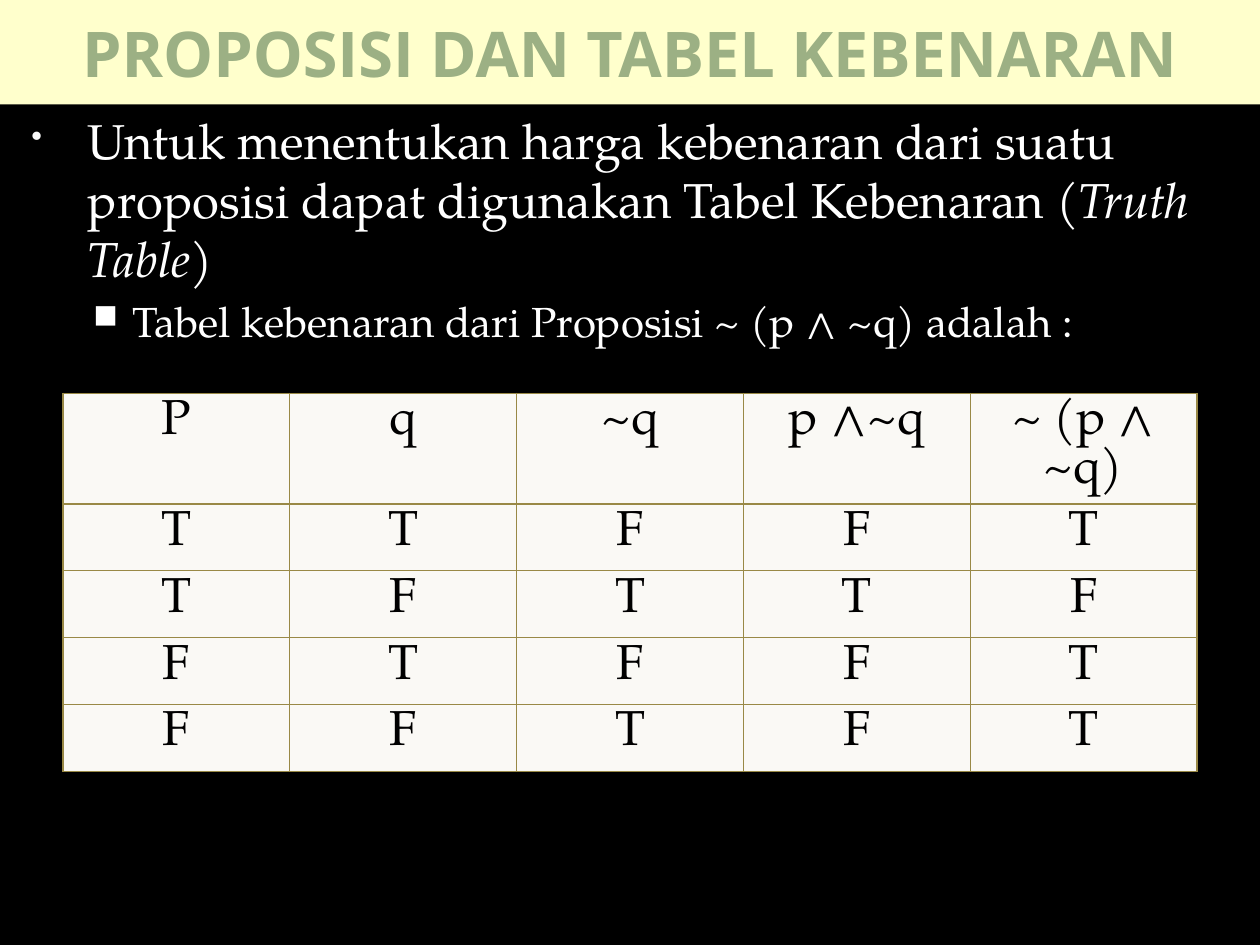
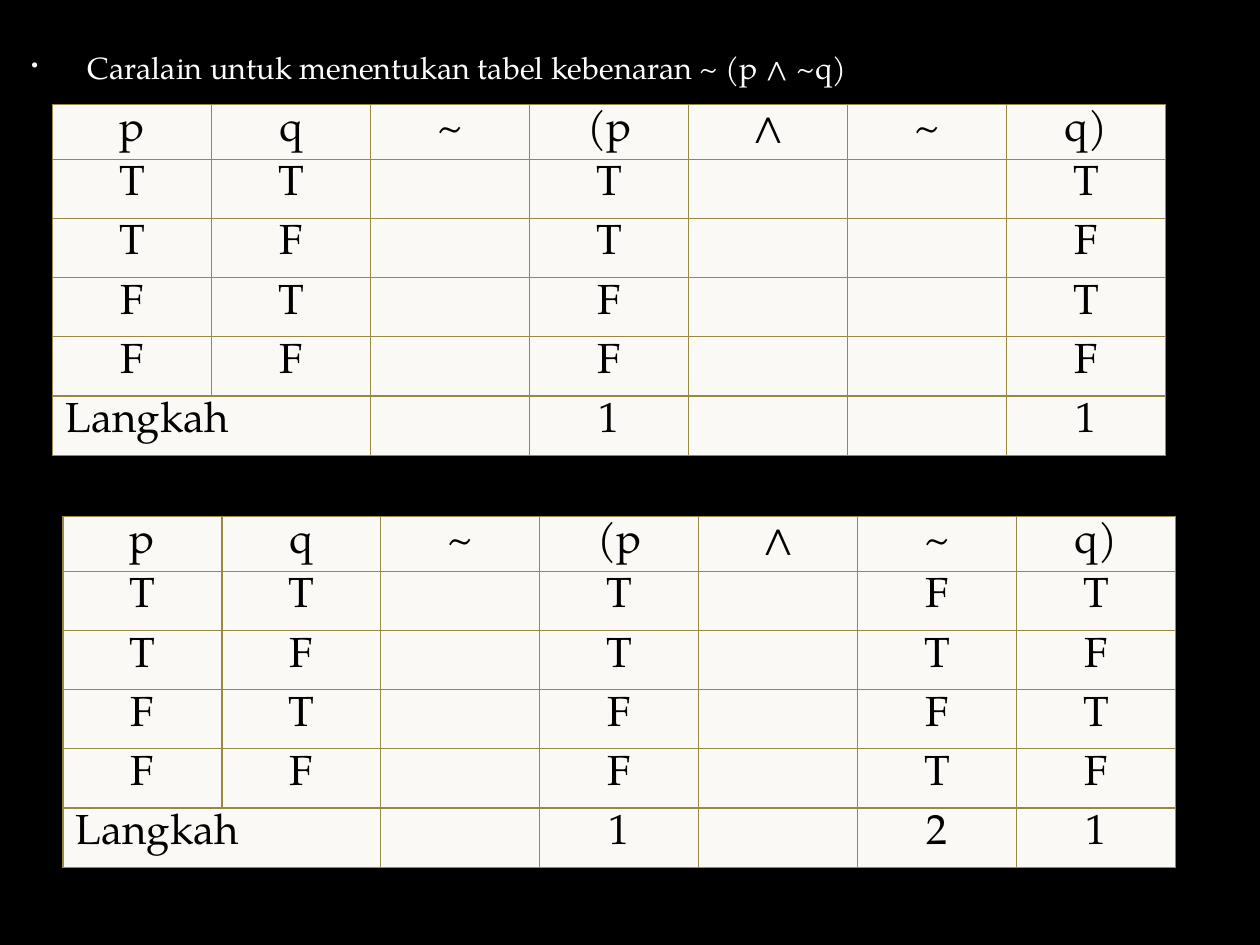
from dataclasses import dataclass

import pptx
import pptx.dml.color
import pptx.enum.shapes
import pptx.enum.text
import pptx.oxml
import pptx.oxml.ns
import pptx.util
from pptx.util import Inches

# Shared look
BLACK, WHITE = "000000", "FFFFFF"
TITLE_BAND, TITLE_TEXT = "FFFFCC", "9CB084"
CELL_FILL, BORDER = "FAF9F5", "998946"
TITLE_FONT, BODY_FONT = "Open Sans", "TeX Gyre Pagella"
CENTER = pptx.enum.text.PP_ALIGN.CENTER
LEFT = pptx.enum.text.PP_ALIGN.LEFT


@dataclass
class Bullet:
    """One bulleted paragraph; each run is its text and whether it is italic."""
    runs: list[tuple[str, bool]]
    size: float
    level: int = 0


@dataclass
class BulletStyle:
    character: str
    color: str
    percent: int
    margin: float
    indent: float


@dataclass
class TruthTable:
    left: float
    top: float
    width: float
    header_height: float
    row_height: float
    size: float
    rows: list[list[str]]
    step_row: bool = False


BULLET_STYLES = [
    BulletStyle("•", "F9F9F9", 65, 0.6, -0.45),
    BulletStyle("■", WHITE, 80, 0.95, -0.31),
]


def rgb(color: str) -> pptx.dml.color.RGBColor:
    return pptx.dml.color.RGBColor.from_string(color)


def format_run(run, size: float, color: str, font: str = BODY_FONT,
               bold: bool = False, italic: bool = False) -> None:
    run.font.size = pptx.util.Pt(size)
    run.font.name = font
    run.font.color.rgb = rgb(color)
    run.font.bold = bold
    run.font.italic = italic


def add_xml(parent, xml: str) -> None:
    """Append a drawing element, given without its namespace declaration."""
    namespace = pptx.oxml.ns.nsdecls("a")
    head, rest = xml.split(" ", 1)
    parent.append(pptx.oxml.parse_xml(f"{head} {namespace} {rest}"))


def add_slide(presentation):
    slide = presentation.slides.add_slide(presentation.slide_layouts[6])
    slide.background.fill.solid()
    slide.background.fill.fore_color.rgb = rgb(BLACK)
    return slide


def add_title(slide, text: str) -> None:
    band = slide.shapes.add_shape(
        pptx.enum.shapes.MSO_SHAPE.RECTANGLE, 0, 0, Inches(10), Inches(0.83))
    band.shadow.inherit = False
    band.fill.solid()
    band.fill.fore_color.rgb = rgb(TITLE_BAND)
    band.line.fill.background()
    band.text_frame.text = text
    band.text_frame.vertical_anchor = pptx.enum.text.MSO_ANCHOR.MIDDLE
    paragraph = band.text_frame.paragraphs[0]
    paragraph.alignment = CENTER
    format_run(paragraph.runs[0], 36, TITLE_TEXT, TITLE_FONT, bold=True)


def add_bullets(slide, top: float, height: float, bullets: list[Bullet],
                top_inset: float = 0.05) -> None:
    box = slide.shapes.add_textbox(0, Inches(top), Inches(10), Inches(height))
    frame = box.text_frame
    frame.word_wrap = True
    frame.margin_top = Inches(top_inset)
    for index, bullet in enumerate(bullets):
        paragraph = frame.add_paragraph() if index else frame.paragraphs[0]
        paragraph.level = bullet.level
        paragraph.space_before = pptx.util.Pt(bullet.size * 0.2)
        for text, italic in bullet.runs:
            run = paragraph.add_run()
            run.text = text
            format_run(run, bullet.size, WHITE, italic=italic)

        style = BULLET_STYLES[bullet.level]
        properties = paragraph._p.get_or_add_pPr()
        properties.set("marL", str(Inches(style.margin)))
        properties.set("indent", str(Inches(style.indent)))
        add_xml(properties, f'<a:buClr ><a:srgbClr val="{style.color}"/></a:buClr>')
        add_xml(properties, f'<a:buSzPct val="{style.percent * 1000}"/>')
        add_xml(properties, f'<a:buChar char="{style.character}"/>')


def format_cell(cell, text: str, size: float, alignment) -> None:
    # Borders come before the fill in the cell properties
    properties = cell._tc.get_or_add_tcPr()
    for side in ("lnL", "lnR", "lnT", "lnB"):
        add_xml(properties, f'<a:{side} w="{pptx.util.Pt(0.75)}"><a:solidFill>'
                            f'<a:srgbClr val="{BORDER}"/></a:solidFill></a:{side}>')
    cell.fill.solid()
    cell.fill.fore_color.rgb = rgb(CELL_FILL)
    if text:
        cell.text_frame.text = text
        paragraph = cell.text_frame.paragraphs[0]
        paragraph.alignment = alignment
        paragraph.line_spacing = pptx.util.Pt(size)
        format_run(paragraph.runs[0], size, BLACK)


def add_truth_table(slide, truth_table: TruthTable) -> None:
    rows = truth_table.rows
    row_count, column_count = len(rows), len(rows[0])
    height = truth_table.header_height + truth_table.row_height * (row_count - 1)
    table = slide.shapes.add_table(
        row_count, column_count, Inches(truth_table.left), Inches(truth_table.top),
        Inches(truth_table.width), Inches(height)).table
    for column in table.columns:
        column.width = Inches(truth_table.width / column_count)
    for index, row in enumerate(table.rows):
        row.height = Inches(truth_table.row_height if index else truth_table.header_height)

    for row_index, row in enumerate(rows):
        for column_index, text in enumerate(row):
            is_step_label = (truth_table.step_row and column_index == 0
                             and row_index == row_count - 1)
            format_cell(table.cell(row_index, column_index), text,
                        truth_table.size, LEFT if is_step_label else CENTER)
    if truth_table.step_row:
        table.cell(row_count - 1, 0).merge(table.cell(row_count - 1, 1))


def step_rows(negation: str) -> list[list[str]]:
    """Rows of the step-by-step table; negation fills the column of the inner ~."""
    rows = [["p", "q", "~", "(p", "∧", "~", "q)"]]
    for (p, q), result in zip(("TT", "TF", "FT", "FF"), negation):
        rows.append([p, q, "", p, "", result.strip(), q])
    rows.append(["Langkah", "", "", "1", "", negation[-1].strip(), "1"])
    return rows


presentation = pptx.Presentation()
presentation.slide_width = Inches(10)
presentation.slide_height = Inches(7.5)

# Slide 1: proposition and its truth table
slide = add_slide(presentation)
add_title(slide, "PROPOSISI DAN TABEL KEBENARAN")
add_bullets(slide, 0.83, 7.08, [
    Bullet([("Untuk menentukan harga kebenaran dari suatu proposisi dapat "
             "digunakan Tabel Kebenaran (", False),
            ("Truth Table", True), (")", False)], 28),
    Bullet([("Tabel kebenaran dari Proposisi ~ (p ∧ ~q) adalah :", False)], 24, 1),
])
add_truth_table(slide, TruthTable(
    0.5, 3.12, 9, 0.88, 0.53, 28,
    [["P", "q", "~q", "p ∧~q", "~ (p ∧ ~q)"],
     *map(list, ("TTFFT", "TFTTF", "FTFFT", "FFTFT"))]))

# Slide 2: the same table worked out step by step
slide = add_slide(presentation)
add_bullets(slide, 0, 0.67, [
    Bullet([("Caralain untuk menentukan tabel kebenaran ~ (p ∧ ~q)", False)], 17.5),
], top_inset=0.39)
for left, top, negation in ((0.42, 0.83, " " * 5), (0.5, 4.1, "FTFT2")):
    add_truth_table(slide, TruthTable(
        left, top, 8.83, 0.43, 0.47, 24, step_rows(negation), step_row=True))

presentation.save("out.pptx")
